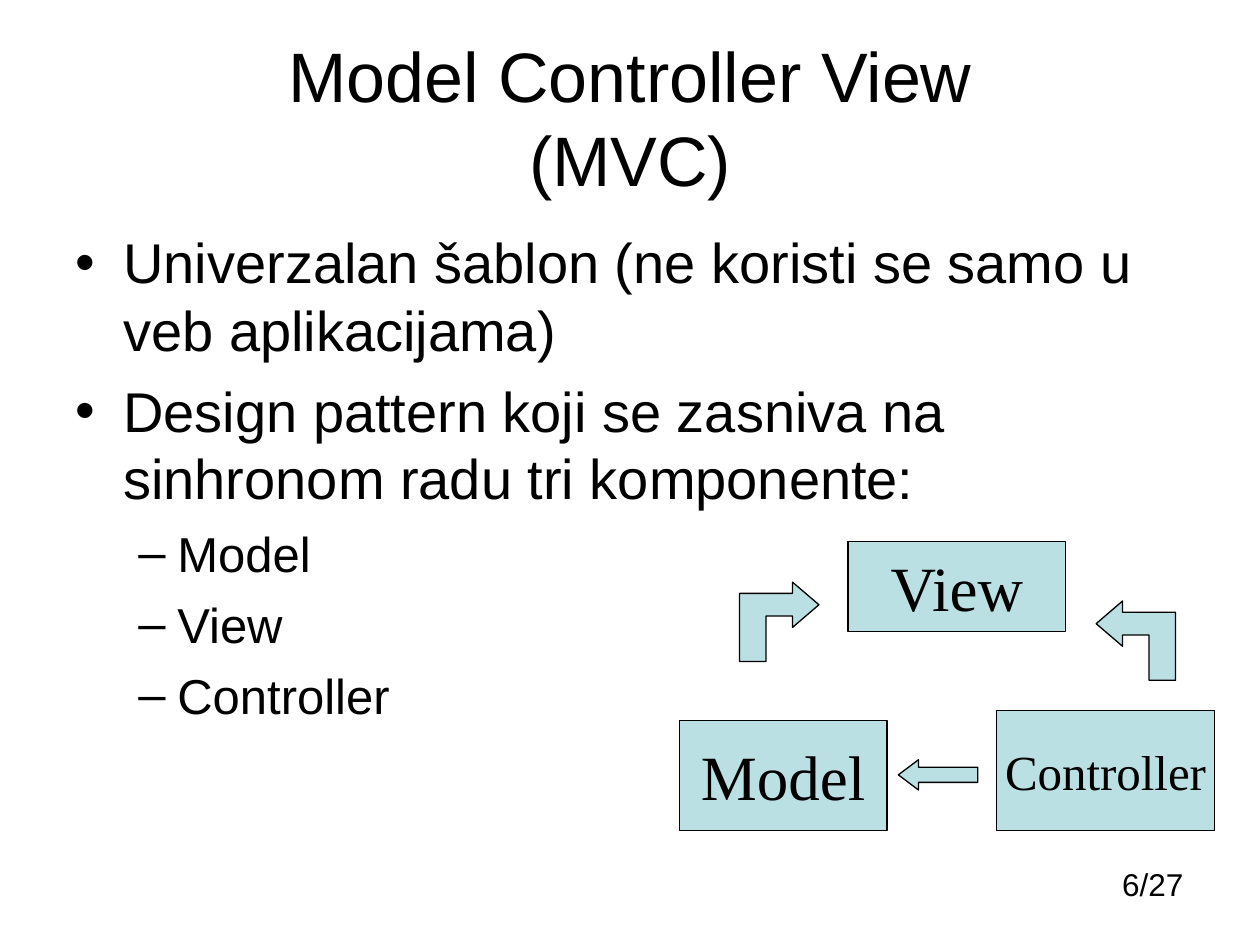
from pptx import Presentation
from pptx.dml.color import RGBColor
from pptx.enum.shapes import MSO_SHAPE
from pptx.enum.text import MSO_ANCHOR, PP_ALIGN
from pptx.oxml import parse_xml
from pptx.oxml.ns import nsdecls
from pptx.util import Inches, Pt

BLACK = RGBColor(0x00, 0x00, 0x00)
WHITE = RGBColor(0xFF, 0xFF, 0xFF)
PALE_TEAL = RGBColor(0xBB, 0xE0, 0xE3)
RECTANGLE, LEFT_ARROW = MSO_SHAPE.RECTANGLE, MSO_SHAPE.LEFT_ARROW
CENTER, RIGHT, LEFT = PP_ALIGN.CENTER, PP_ALIGN.RIGHT, PP_ALIGN.LEFT
MIDDLE, TOP = MSO_ANCHOR.MIDDLE, MSO_ANCHOR.TOP

TITLE_ONLY = 5
ARROW_SIZE = 0.63

# Per level: bullet, text size, space before, left margin, hanging indent
LEVELS = [
    ("•", 32, 8, 0.38, -0.38),
    ("–", 28, 7, 0.81, -0.31),
]
BODY = [
    (0, "Univerzalan šablon (ne koristi se samo u veb aplikacijama)"),
    (0, "Design pattern koji se zasniva na sinhronom radu tri komponente:"),
    (1, "Model"),
    (1, "View"),
    (1, "Controller"),
]
# Component boxes: text, left, top, width, height, text size
COMPONENTS = [
    ("View", 6.73, 4.3, 1.73, 0.71, 36),
    ("Model", 5.39, 5.72, 1.65, 0.87, 36),
    ("Controller", 7.91, 5.64, 1.73, 0.95, 28),
]
# Bent arrow pointing right, in sevenths across and down its square
BENT_ARROW = [(1, 2 / 7), (2 / 3, 4 / 7), (2 / 3, 3 / 7), (1 / 3, 3 / 7),
              (1 / 3, 1), (0, 1), (0, 1 / 7), (2 / 3, 1 / 7), (2 / 3, 0)]


def write(para, text, size=18, font="Arial", align=LEFT):
    """Put formatted text into a paragraph."""
    para.text = text
    para.alignment = align
    for span in para.runs:
        span.font.size = Pt(size)
        span.font.name = font
        span.font.color.rgb = BLACK


def place(box, left, top, width, height):
    box.left, box.top = Inches(left), Inches(top)
    box.width, box.height = Inches(width), Inches(height)


def add_text_box(page, left, top, width, height):
    box = page.shapes.add_textbox(
        Inches(left), Inches(top), Inches(width), Inches(height))
    box.text_frame.word_wrap = True
    box.text_frame.vertical_anchor = TOP
    return box


def set_bullet(para, char, margin, indent):
    """Give a paragraph a bullet and a hanging indent."""
    props = para._p.get_or_add_pPr()
    props.set("marL", str(Inches(margin)))
    props.set("indent", str(Inches(indent)))
    props.append(parse_xml(f'<a:buFont {nsdecls("a")} typeface="Arial"/>'))
    props.append(parse_xml(f'<a:buChar {nsdecls("a")} char="{char}"/>'))


def paint(shape):
    shape.shadow.inherit = False
    shape.fill.solid()
    shape.fill.fore_color.rgb = PALE_TEAL
    shape.line.color.rgb = BLACK
    shape.line.width = Pt(0.75)


def add_shape(page, kind, left, top, width, height):
    shape = page.shapes.add_shape(
        kind, Inches(left), Inches(top), Inches(width), Inches(height))
    paint(shape)
    return shape


def add_component(page, text, left, top, width, height, size):
    box = add_shape(page, RECTANGLE, left, top, width, height)
    box.text_frame.word_wrap = False
    box.text_frame.vertical_anchor = MIDDLE
    write(box.text_frame.paragraphs[0], text, size=size,
          font="Times New Roman", align=CENTER)


def add_bent_arrow(page, left, top, mirrored=False):
    points = [(Inches(left + ARROW_SIZE * (1 - x if mirrored else x)),
               Inches(top + ARROW_SIZE * y)) for x, y in BENT_ARROW]
    builder = page.shapes.build_freeform(*points[0])
    builder.add_line_segments(points[1:], close=True)
    paint(builder.convert_to_shape())


def add_body(page):
    frame = add_text_box(page, 0.5, 1.76, 9, 4.58).text_frame
    for index, (level, text) in enumerate(BODY):
        para = frame.add_paragraph() if index else frame.paragraphs[0]
        char, size, before, margin, indent = LEVELS[level]
        write(para, text, size=size)
        para.level = level
        para.space_before = Pt(before)
        set_bullet(para, char, margin, indent)


def main():
    deck = Presentation()
    deck.slide_width, deck.slide_height = Inches(10), Inches(7.5)
    page = deck.slides.add_slide(deck.slide_layouts[TITLE_ONLY])
    page.background.fill.solid()
    page.background.fill.fore_color.rgb = WHITE

    # Page number
    number = add_text_box(page, 7.52, 6.82, 1.97, 0.4)
    write(number.text_frame.paragraphs[0], "6/27", align=RIGHT)

    # Title and bullets
    title = page.shapes.title
    place(title, 0.5, 0.3, 9, 1.25)
    title.text_frame.vertical_anchor = MIDDLE
    write(title.text_frame.paragraphs[0], "Model Controller View\v(MVC)",
          size=40, align=CENTER)
    add_body(page)

    # Diagram
    for component in COMPONENTS:
        add_component(page, *component)
    arrow = add_shape(page, LEFT_ARROW, 7.13, 6.03, ARROW_SIZE, 0.24)
    arrow.adjustments[1] = 0.667
    add_bent_arrow(page, 8.7, 4.77, mirrored=True)
    add_bent_arrow(page, 5.87, 4.62)

    deck.save("out.pptx")


if __name__ == "__main__":
    main()
